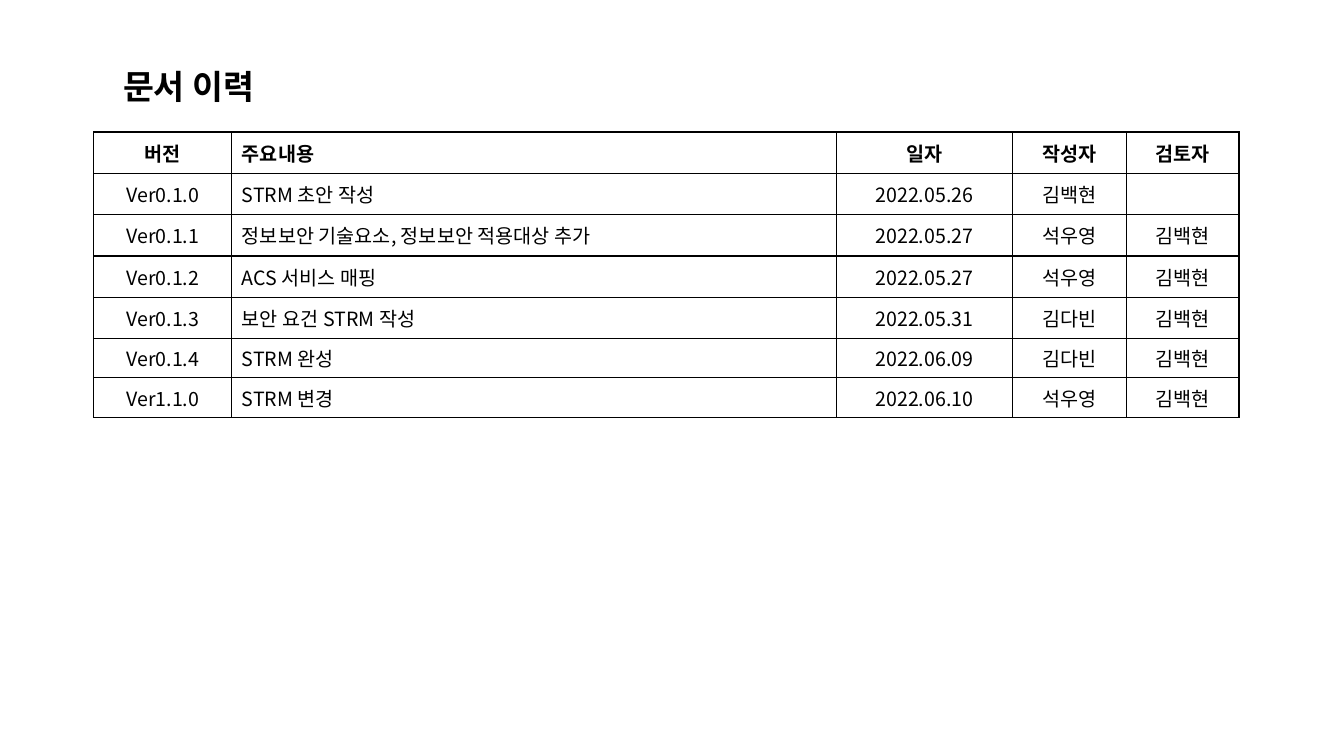
from lxml import etree
from pptx import Presentation, util as u
from pptx.dml import color
from pptx.enum import text
from pptx.oxml import ns

COLORS = {"ink": "000000", "paper": "FFFFFF"}
FONT = "Noto Sans CJK KR"
COLUMN_WIDTHS = [1.37, 6, 1.74, 1.13, 1.12]
ROW_HEIGHTS = [0.41] * 5 + [0.39] * 2
CONTENT_COLUMN = 1
HISTORY = [
    ["버전", "주요내용", "일자", "작성자", "검토자"],
    ["Ver0.1.0", "STRM 초안 작성", "2022.05.26", "김백현", ""],
    ["Ver0.1.1", "정보보안 기술요소, 정보보안 적용대상 추가", "2022.05.27", "석우영", "김백현"],
    ["Ver0.1.2", "ACS 서비스 매핑", "2022.05.27", "석우영", "김백현"],
    ["Ver0.1.3", "보안 요건 STRM 작성", "2022.05.31", "김다빈", "김백현"],
    ["Ver0.1.4", "STRM 완성", "2022.06.09", "김다빈", "김백현"],
    ["Ver1.1.0", "STRM 변경", "2022.06.10", "석우영", "김백현"],
]


def style_paragraph(paragraph, size, bold, alignment):
    paragraph.alignment = alignment
    font = paragraph.font
    font.name, font.size, font.bold = FONT, u.Pt(size), bold
    font.color.rgb = color.RGBColor.from_string(COLORS["ink"])
    properties = paragraph._p.pPr.find(ns.qn("a:defRPr"))
    etree.SubElement(properties, ns.qn("a:ea"), typeface=FONT)


def add_borders(cell):
    properties = cell._tc.get_or_add_tcPr()
    for position, side in enumerate(["lnL", "lnR", "lnT", "lnB"]):
        line = etree.Element(ns.qn(f"a:{side}"), w=str(u.Pt(1)))
        fill = etree.SubElement(line, ns.qn("a:solidFill"))
        etree.SubElement(fill, ns.qn("a:srgbClr"), val=COLORS["ink"])
        properties.insert(position, line)


presentation = Presentation()
presentation.slide_width = u.Inches(13.33)
presentation.slide_height = u.Inches(7.5)
slide = presentation.slides.add_slide(presentation.slide_layouts[5])

title = slide.shapes.title
title.left, title.top = u.Inches(1.12), u.Inches(0.6)
title.width, title.height = u.Inches(4.96), u.Inches(0.5)
title.text_frame.text = "문서 이력"
title.text_frame.auto_size = text.MSO_AUTO_SIZE.NONE
title.text_frame.vertical_anchor = text.MSO_ANCHOR.TOP
style_paragraph(title.text_frame.paragraphs[0], 24, True, text.PP_ALIGN.LEFT)

table = slide.shapes.add_table(
    len(HISTORY), len(COLUMN_WIDTHS), u.Inches(0.93), u.Inches(1.31),
    u.Inches(sum(COLUMN_WIDTHS)), u.Inches(sum(ROW_HEIGHTS)),
).table
table.horz_banding = False
for column, width in zip(table.columns, COLUMN_WIDTHS):
    column.width = u.Inches(width)

for row_index, (entries, height) in enumerate(zip(HISTORY, ROW_HEIGHTS)):
    table.rows[row_index].height = u.Inches(height)
    for column_index, entry in enumerate(entries):
        cell = table.cell(row_index, column_index)
        cell.text = entry
        cell.vertical_anchor = text.MSO_ANCHOR.MIDDLE
        cell.fill.solid()
        cell.fill.fore_color.rgb = color.RGBColor.from_string(COLORS["paper"])
        alignment = text.PP_ALIGN.LEFT if column_index == CONTENT_COLUMN else text.PP_ALIGN.CENTER
        style_paragraph(cell.text_frame.paragraphs[0], 14, row_index == 0, alignment)
        add_borders(cell)

presentation.save("out.pptx")
